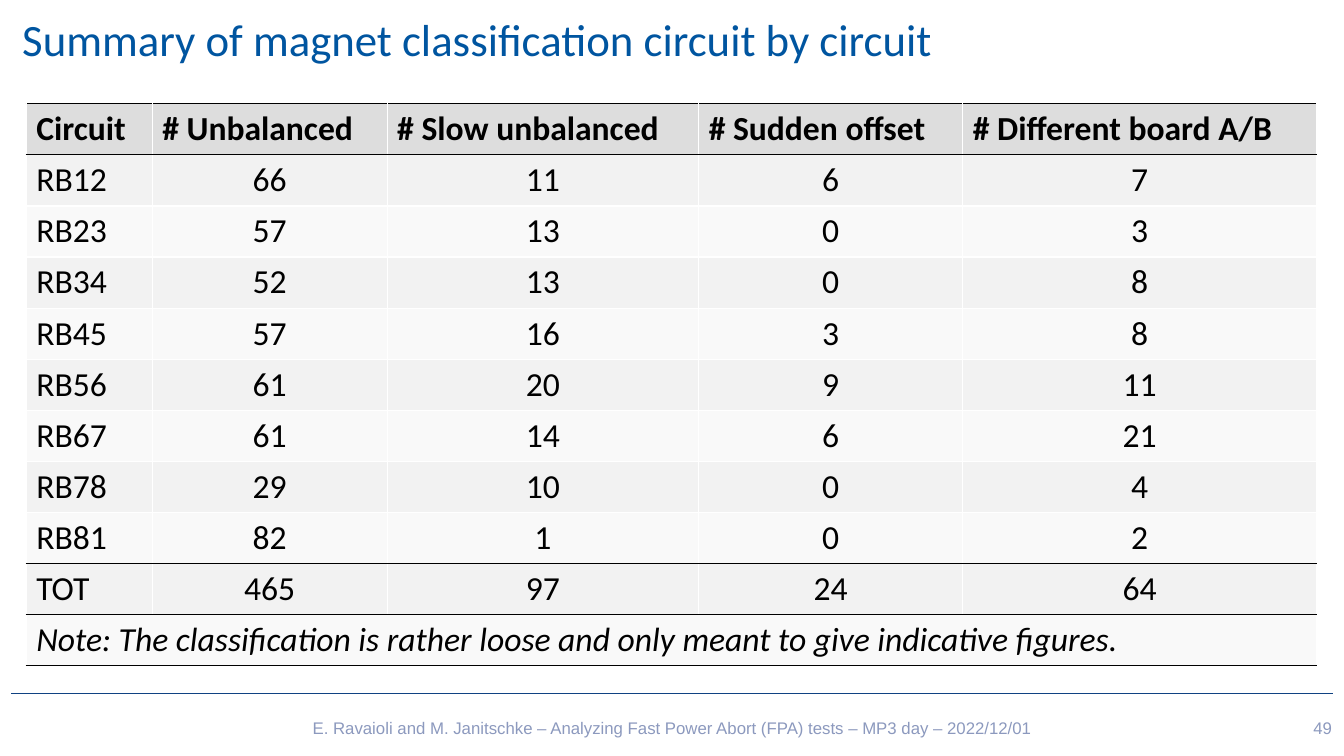
from dataclasses import dataclass

from lxml.etree import SubElement
from pptx import Presentation
from pptx.dml.color import RGBColor
from pptx.enum.shapes import MSO_CONNECTOR
from pptx.enum.text import MSO_ANCHOR, PP_ALIGN
from pptx.oxml import parse_xml
from pptx.oxml.ns import nsdecls, qn
from pptx.util import Inches, Pt


@dataclass(frozen=True)
class Theme:
    """Colours, fonts and type sizes of the slide."""
    title: str = "0055A0"
    footer: str = "8C99BE"
    footer_rule: str = "104282"
    ink: str = "000000"
    grid: str = "FFFFFF"
    header_fill: str = "DDDDDD"
    bands: tuple = ("F2F2F2", "F9F9F9")
    body_font: str = "Calibri"
    footer_font: str = "Arial"
    title_size: int = 32
    table_size: int = 24
    footer_size: int = 12


THEME = Theme()
SLIDE_WIDTH, SLIDE_HEIGHT = Inches(13.33), Inches(7.5)
COLUMN_SHARES = (9.38, 17.48, 23.18, 19.65, 26.33)
ROW_SHARE = 6.76
HEADINGS = ("Circuit", "# Unbalanced", "# Slow unbalanced", "# Sudden offset",
            "# Different board A/B")
CIRCUITS = (
    ("RB12", 66, 11, 6, 7),
    ("RB23", 57, 13, 0, 3),
    ("RB34", 52, 13, 0, 8),
    ("RB45", 57, 16, 3, 8),
    ("RB56", 61, 20, 9, 11),
    ("RB67", 61, 14, 6, 21),
    ("RB78", 29, 10, 0, 4),
    ("RB81", 82, 1, 0, 2),
)
TOTALS = ("TOT", 465, 97, 24, 64)
NOTE = ("Note: The classification is rather loose and only meant to give "
        "indicative figures.")


def across(share):
    """Turn a percentage of the slide width into a length."""
    return round(SLIDE_WIDTH * share / 100)


def down(share):
    """Turn a percentage of the slide height into a length."""
    return round(SLIDE_HEIGHT * share / 100)


def style_text(paragraph, font_name, size, colour, align=PP_ALIGN.LEFT,
               bold=False, italic=False):
    """Align a paragraph and format its runs."""
    paragraph.alignment = align
    for run in paragraph.runs:
        run.font.name = font_name
        run.font.size = Pt(size)
        run.font.bold = bold
        run.font.italic = italic
        run.font.color.rgb = RGBColor.from_string(colour)


def add_label(slide, text, left, top, width, height, font_name, size, colour,
              align=PP_ALIGN.LEFT, anchor=MSO_ANCHOR.MIDDLE, side_inset=0.1):
    """Add a single-line text box placed by shares of the slide."""
    label = slide.shapes.add_textbox(across(left), down(top), across(width), down(height))
    frame = label.text_frame
    frame.word_wrap = True
    frame.vertical_anchor = anchor
    frame.margin_left = frame.margin_right = Inches(side_inset)
    frame.text = text
    style_text(frame.paragraphs[0], font_name, size, colour, align)


def add_rule(slide, left, right, height, colour):
    """Add a thin horizontal rule across the slide."""
    rule = slide.shapes.add_connector(
        MSO_CONNECTOR.STRAIGHT, across(left), down(height), across(right), down(height))
    rule.line.color.rgb = RGBColor.from_string(colour)
    rule.line.width = Pt(0.5)
    SubElement(rule._element.spPr, qn("a:effectLst"))


def set_borders(cell, top, bottom):
    """Draw white side borders and the given top and bottom borders."""
    sides = (("lnL", THEME.grid), ("lnR", THEME.grid), ("lnT", top), ("lnB", bottom))
    properties = cell._tc.get_or_add_tcPr()
    for position, (side, colour) in enumerate(sides):
        properties.insert(position, parse_xml(
            f'<a:{side} {nsdecls("a")} w="{Pt(1)}"><a:solidFill>'
            f'<a:srgbClr val="{colour}"/></a:solidFill></a:{side}>'))


def fill_row(table, row, values, fill, top, bottom, bold=False, italic=False,
             value_align=PP_ALIGN.CENTER):
    """Write one table row with its fill, borders and type style."""
    for column, cell in enumerate(table.rows[row].cells):
        cell.fill.solid()
        cell.fill.fore_color.rgb = RGBColor.from_string(fill)
        set_borders(cell, top, bottom)
        if column < len(values):
            cell.text = str(values[column])
        style_text(cell.text_frame.paragraphs[0], THEME.body_font, THEME.table_size,
                   THEME.ink, value_align if column else PP_ALIGN.LEFT, bold, italic)


def add_classification_table(slide):
    """Add the table of magnet counts with its totals and note."""
    row_count = len(CIRCUITS) + 3
    table = slide.shapes.add_table(
        row_count, len(HEADINGS), across(1.95), down(13.73),
        across(sum(COLUMN_SHARES)), down(ROW_SHARE * row_count)).table
    table.first_row = table.horz_banding = False
    for column, share in zip(table.columns, COLUMN_SHARES):
        column.width = across(share)
    for row in table.rows:
        row.height = down(ROW_SHARE)

    ink, grid = THEME.ink, THEME.grid
    fill_row(table, 0, HEADINGS, THEME.header_fill, ink, ink, bold=True,
             value_align=PP_ALIGN.LEFT)
    last = len(CIRCUITS)
    for row, circuit in enumerate(CIRCUITS, start=1):
        fill_row(table, row, circuit, THEME.bands[(row - 1) % 2],
                 ink if row == 1 else grid, ink if row == last else grid)
    fill_row(table, last + 1, TOTALS, THEME.bands[0], ink, ink)
    fill_row(table, last + 2, (NOTE,), THEME.bands[1], ink, ink, italic=True)
    table.cell(last + 2, 0).merge(table.cell(last + 2, len(HEADINGS) - 1))


def main():
    """Build the slide and save it."""
    deck = Presentation()
    deck.slide_width, deck.slide_height = SLIDE_WIDTH, SLIDE_HEIGHT
    slide = deck.slides.add_slide(deck.slide_layouts[6])
    footer_style = (THEME.footer_font, THEME.footer_size, THEME.footer)
    add_label(slide, "49", 94.37, 93.6, 5.48, 5.33, *footer_style, align=PP_ALIGN.RIGHT)
    add_label(slide, "E. Ravaioli and M. Janitschke – Analyzing Fast Power Abort (FPA) "
              "tests – MP3 day – 2022/12/01", 15.23, 94.27, 69.62, 4, *footer_style,
              align=PP_ALIGN.CENTER, anchor=MSO_ANCHOR.TOP)
    add_rule(slide, 0.83, 99.17, 91.73, THEME.footer_rule)
    add_label(slide, "Summary of magnet classification circuit by circuit",
              1.28, 1.2, 97.52, 7.73, THEME.body_font, THEME.title_size, THEME.title,
              side_inset=0.05)
    add_classification_table(slide)
    deck.save("out.pptx")


if __name__ == "__main__":
    main()
